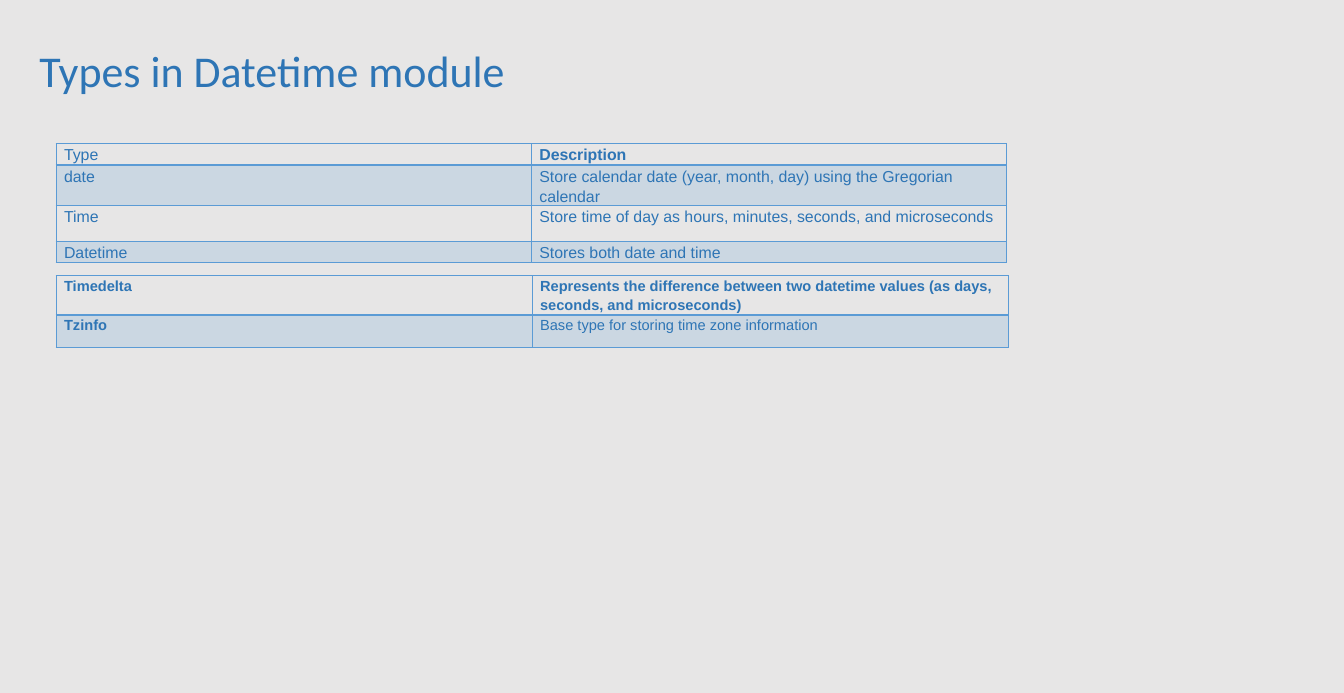
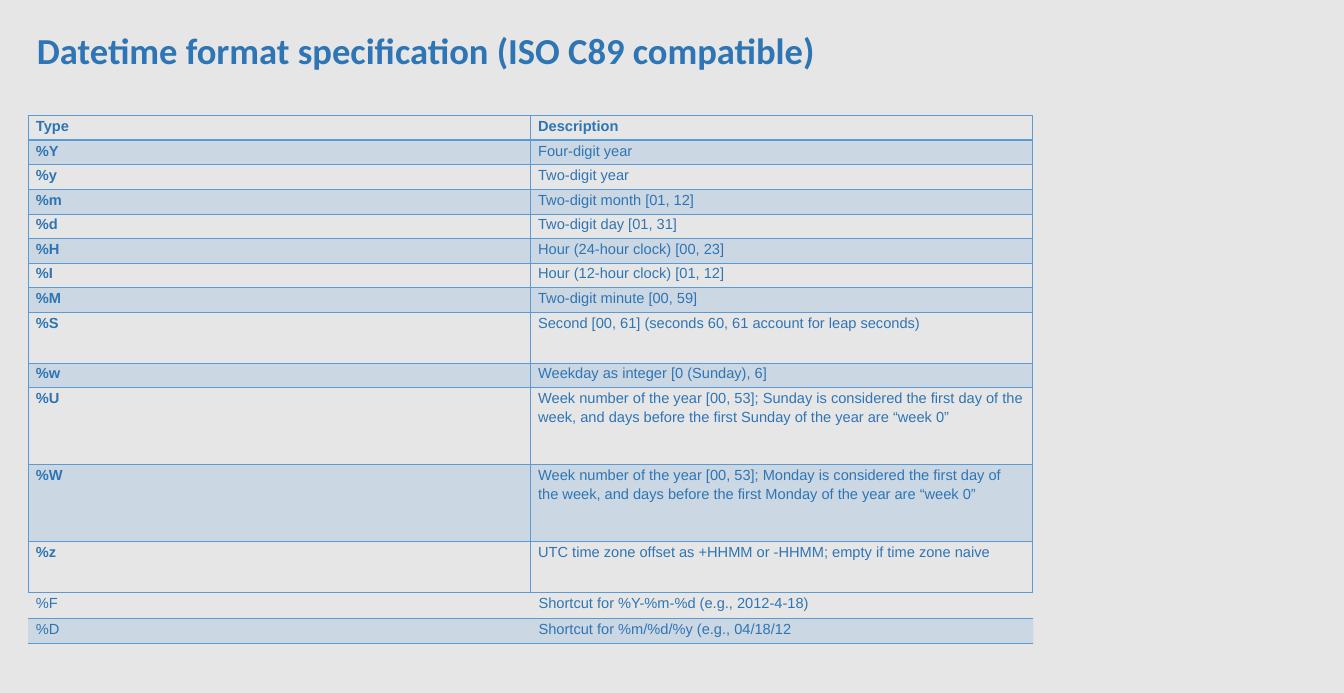
from dataclasses import dataclass
from typing import Any

from lxml import etree
from pptx import Presentation
from pptx import util as u
from pptx.dml import color
from pptx.enum import text
from pptx.oxml import ns

BACKGROUND, INK, ACCENT = "E7E6E6", "2E75B5", "5B9BD5"
BAND_OPACITY = 20
TITLE_WIDTH, TITLE_HEIGHT = 950, 60
CELL_FORMAT = {
    "margin_left": u.Pt(6.5),
    "margin_right": u.Pt(6.5),
    "margin_top": 0,
    "margin_bottom": 0,
    "vertical_anchor": text.MSO_ANCHOR.TOP,
}
TITLE_FRAME_FORMAT = {
    "word_wrap": True,
    "auto_size": text.MSO_AUTO_SIZE.NONE,
    "vertical_anchor": text.MSO_ANCHOR.TOP,
}
UNSTYLED = dict.fromkeys(["first_row", "horz_banding"], False)


@dataclass(frozen=True)
class Entry:
    height: float
    key: str
    description: str
    key_bold: bool = False
    description_bold: bool = False


@dataclass(frozen=True)
class Grid:
    left: float
    top: float
    column_width: float
    font_size: float
    entries: list[Entry]
    sides: str = "LRTB"
    first_rule: float = 1
    first_banded: int = 1


@dataclass(frozen=True)
class Page:
    title: str
    left: float
    top: float
    font_size: float
    bold: bool
    grids: list[Grid]


def format_entry(height: float, key: str, description: str) -> Entry:
    return Entry(height, key, description, key_bold=True)


LOW, MIDDLE, HIGH = 20.15, 41.75, 63.1

PAGES = [
    Page("Types in Datetime module", 25, 36.7, 36, False, [
        Grid(46, 118, 389.6, 13, [
            Entry(17.3, "Type", "Description", description_bold=True),
            Entry(33.3, "date", "Store calendar date (year, month, day) using the Gregorian calendar"),
            Entry(29.5, "Time", "Store time of day as hours, minutes, seconds, and microseconds"),
            Entry(17.3, "Datetime", "Stores both date and time"),
        ], first_rule=2),
        Grid(46, 226, 390.2, 12, [
            Entry(32, "Timedelta",
                  "Represents the difference between two datetime values (as days, seconds, and microseconds)",
                  True, True),
            Entry(27, "Tzinfo", "Base type for storing time zone information", True),
        ], first_rule=2),
    ]),
    Page("Datetime format specification (ISO C89 compatible)", 23, 23, 30, True, [
        Grid(23, 95, 411.6, 12, [
            Entry(LOW, "Type", "Description", True, True),
            format_entry(LOW, "%Y", "Four-digit year"),
            format_entry(LOW, "%y", "Two-digit year"),
            format_entry(LOW, "%m", "Two-digit month [01, 12]"),
            format_entry(LOW, "%d", "Two-digit day [01, 31]"),
            format_entry(LOW, "%H", "Hour (24-hour clock) [00, 23]"),
            format_entry(LOW, "%I", "Hour (12-hour clock) [01, 12]"),
            format_entry(LOW, "%M", "Two-digit minute [00, 59]"),
            format_entry(MIDDLE, "%S", "Second [00, 61] (seconds 60, 61 account for leap seconds)"),
            format_entry(LOW, "%w", "Weekday as integer [0 (Sunday), 6]"),
            format_entry(HIGH, "%U", "Week number of the year [00, 53]; Sunday is considered the first day of "
                                     "the week, and days before the first Sunday of the year are “week 0”"),
            format_entry(HIGH, "%W", "Week number of the year [00, 53]; Monday is considered the first day of "
                                     "the week, and days before the first Monday of the year are “week 0”"),
            format_entry(MIDDLE, "%z", "UTC time zone offset as +HHMM or -HHMM; empty if time zone naive"),
        ], first_rule=2),
        Grid(23, 486, 412, 12, [
            Entry(20.9, "%F", "Shortcut for %Y-%m-%d (e.g., 2012-4-18)"),
            Entry(20.9, "%D", "Shortcut for %m/%d/%y (e.g., 04/18/12"),
        ], sides="TB"),
    ]),
]


def apply(target: Any, values: dict[str, Any]) -> None:
    for name, value in values.items():
        setattr(target, name, value)


def set_color(color_format: Any, hex_value: str) -> None:
    color_format.rgb = color.RGBColor.from_string(hex_value)


def write(frame: Any, words: str, font: str, size: float, bold: bool, spacing: float) -> None:
    paragraph = frame.paragraphs[0]
    apply(paragraph, {"alignment": text.PP_ALIGN.LEFT, "line_spacing": spacing})
    run = paragraph.add_run()
    run.text = words
    apply(run.font, {"name": font, "size": u.Pt(size), "bold": bold})
    set_color(run.font.color, INK)


def add_borders(cell: Any, widths: dict[str, float]) -> None:
    """Draw each side at its width in points; a width of 0 hides the side."""
    properties = cell._tc.get_or_add_tcPr()
    for side, width in widths.items():
        line = etree.SubElement(properties, ns.qn(f"a:ln{side}"), w=str(u.Pt(width)))
        fill = etree.SubElement(line, ns.qn("a:solidFill" if width else "a:noFill"))
        if width:
            etree.SubElement(fill, ns.qn("a:srgbClr"), val=ACCENT)


def fill_cell(cell: Any, banded: bool) -> None:
    if not banded:
        cell.fill.background()
        return
    cell.fill.solid()
    set_color(cell.fill.fore_color, ACCENT)
    for tint in cell._tc.tcPr.findall(f"{ns.qn('a:solidFill')}/{ns.qn('a:srgbClr')}"):
        etree.SubElement(tint, ns.qn("a:alpha"), val=str(BAND_OPACITY * 1000))


def add_grid(slide: Any, grid: Grid) -> None:
    height = sum(entry.height for entry in grid.entries)
    box = [u.Pt(value) for value in (grid.left, grid.top, 2 * grid.column_width, height)]
    table = slide.shapes.add_table(len(grid.entries), 2, *box).table
    apply(table, UNSTYLED)
    for column in table.columns:
        column.width = u.Pt(grid.column_width)
    for index, entry in enumerate(grid.entries):
        table.rows[index].height = u.Pt(entry.height)
        widths = {side: 1 if side in grid.sides else 0 for side in "LRTB"}
        if index < 2:
            widths["B" if index == 0 else "T"] = grid.first_rule
        contents = [(entry.key, entry.key_bold), (entry.description, entry.description_bold)]
        for cell, (words, bold) in zip(table.rows[index].cells, contents):
            apply(cell, CELL_FORMAT)
            write(cell.text_frame, words, "Arial", grid.font_size, bold, 1.15)
            add_borders(cell, widths)
            fill_cell(cell, index % 2 == grid.first_banded)


def add_page(presentation: Any, page: Page) -> None:
    slide = presentation.slides.add_slide(presentation.slide_layouts.get_by_name("Title Only"))
    title = slide.shapes.title
    apply(title, {"left": u.Pt(page.left), "top": u.Pt(page.top),
                  "width": u.Pt(TITLE_WIDTH), "height": u.Pt(TITLE_HEIGHT)})
    apply(title.text_frame, TITLE_FRAME_FORMAT)
    write(title.text_frame, page.title, "Calibri", page.font_size, page.bold, 0.9)
    for grid in page.grids:
        add_grid(slide, grid)


def main() -> None:
    presentation = Presentation()
    apply(presentation, {"slide_width": u.Pt(1101.6), "slide_height": u.Pt(568.08)})
    background = presentation.slide_master.background.fill
    background.solid()
    set_color(background.fore_color, BACKGROUND)
    for page in PAGES:
        add_page(presentation, page)
    presentation.save("out.pptx")


if __name__ == "__main__":
    main()
